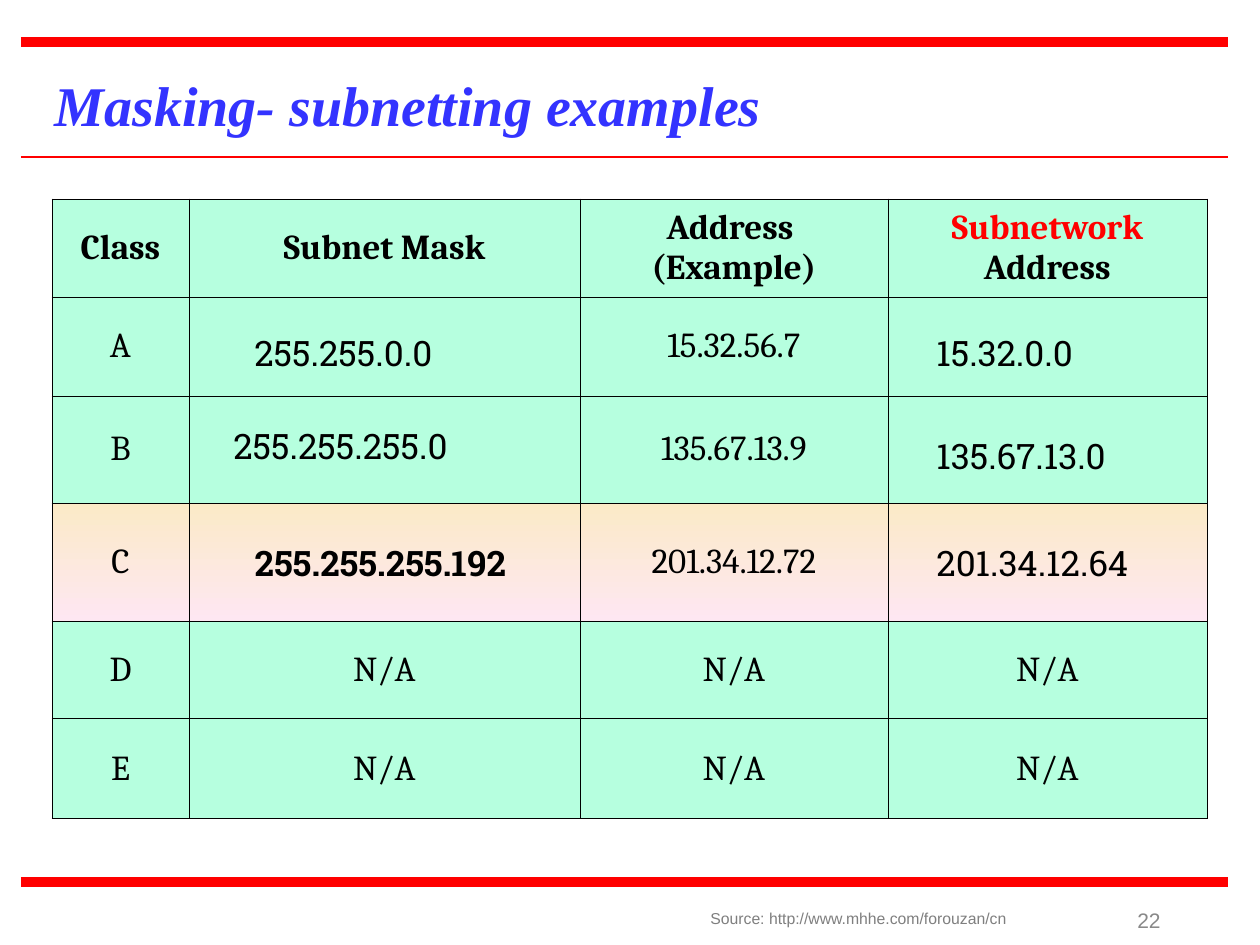
from dataclasses import dataclass

from lxml.etree import SubElement
from pptx import Presentation
from pptx.dml.color import RGBColor
from pptx.enum.shapes import MSO_CONNECTOR
from pptx.enum.text import MSO_ANCHOR as Anchor, MSO_AUTO_SIZE as AutoSize, PP_ALIGN as Align
from pptx.oxml import parse_xml
from pptx.oxml.ns import nsdecls, qn
from pptx.util import Emu, Pt

PX = 914400 / 126  # EMU in one px


@dataclass(frozen=True)
class Theme:
    red: str = "FF0000"
    blue: str = "3333FF"
    black: str = "000000"
    mint: str = "B6FFDF"
    highlight: tuple = ("FBEAC7", "FEE7F2")
    number: str = "898989"
    source: str = "7F7F7F"
    title_font: str = "Times New Roman"
    table_font: str = "Cambria"
    answer_font: str = "Roboto Slab"
    footer_font: str = "Arial"
    title_size: int = 32
    body_size: int = 20
    number_size: int = 12
    source_size: int = 9
    border: float = 0.45


T = Theme()


def px(*values):
    return [Emu(round(v * PX)) for v in values]


def add_run(p, text, font, size, color, bold=False, italic=False):
    r = p.add_run()
    r.text = text
    f = r.font
    f.name, f.size, f.bold, f.italic = font, Pt(size), bold, italic
    f.color.rgb = RGBColor.from_string(color)


def add_label(s, box, text, font, size, color, bold=False, align=Align.LEFT, anchor=Anchor.TOP):
    tf = s.shapes.add_textbox(*px(*box)).text_frame
    tf.word_wrap, tf.vertical_anchor = True, anchor
    p = tf.paragraphs[0]
    p.alignment = align
    add_run(p, text, font, size, color, bold)


def add_rule(s, y, weight):
    left, right = 21, 1228
    line = s.shapes.add_connector(MSO_CONNECTOR.STRAIGHT, *px(left, y, right, y))
    line.line.color.rgb = RGBColor.from_string(T.red)
    line.line.width = Pt(weight)
    SubElement(line._element.spPr, qn("a:effectLst"))


def add_title(s, box, text):
    sp = s.shapes.title
    sp.left, sp.top, sp.width, sp.height = px(*box)
    tf = sp.text_frame
    tf.word_wrap, tf.auto_size = False, AutoSize.NONE
    tf.vertical_anchor = Anchor.TOP
    p = tf.paragraphs[0]
    p.alignment = Align.LEFT
    add_run(p, text, T.title_font, T.title_size, T.blue, bold=True, italic=True)


def style_cell(cell, highlighted):
    # Fill
    if highlighted:
        cell.fill.gradient()
        cell.fill.gradient_angle = 270
        for stop, color in zip(cell.fill.gradient_stops, T.highlight):
            stop.color.rgb = RGBColor.from_string(color)
    else:
        cell.fill.solid()
        cell.fill.fore_color.rgb = RGBColor.from_string(T.mint)
    # Borders come before the fill
    for i, side in enumerate(("lnL", "lnR", "lnT", "lnB")):
        cell._tc.tcPr.insert(i, parse_xml(
            f'<a:{side} {nsdecls("a")} w="{Pt(T.border)}"><a:solidFill>'
            f'<a:srgbClr val="{T.black}"/></a:solidFill></a:{side}>'))


def add_class_table(s, left, top):
    cols = (137, 391, 308, 319)
    heights = (98, 99, 107, 118, 98, 100)
    header = ("Class", "Subnet Mask", "Address \n(Example)", "Subnetwork Address")
    rows = [header,
            ("A", "", "15.32.56.7", ""),
            ("B", "", "135.67.13.9", ""),
            ("C", "", "201.34.12.72", "")]
    rows += [(name, "N/A", "N/A", "N/A") for name in "DE"]

    box = px(left, top, sum(cols), sum(heights))
    table = s.shapes.add_table(len(rows), len(cols), *box).table
    for col, width in zip(table.columns, px(*cols)):
        col.width = width
    for row, height, values in zip(table.rows, px(*heights), rows):
        row.height = height
        for cell, value in zip(row.cells, values):
            style_cell(cell, highlighted=values[0] == "C")
            cell.vertical_anchor = Anchor.MIDDLE
            tf = cell.text_frame
            for i, text in enumerate(value.split("\n") if value else ()):
                p = tf.add_paragraph() if i else tf.paragraphs[0]
                p.alignment = Align.CENTER
                bold = values is header
                if text.startswith("Subnetwork "):
                    add_run(p, "Subnetwork ", T.table_font, T.body_size, T.red, bold)
                    text = text.removeprefix("Subnetwork ")
                add_run(p, text, T.table_font, T.body_size, T.black, bold)


def add_answers(s, left, top):
    """Masks and subnetwork addresses laid over the open cells."""
    h, address_x, address_w = 54, 872, 273
    answers = [  # x, y, width, text, bold, alignment
        (190, 126, 273, "255.255.0.0", False, Align.LEFT),
        (169, 219, 315, "255.255.255.0", False, Align.LEFT),
        (150, 336, 357, "255.255.255.192", True, Align.CENTER),
        (address_x, 126, address_w, "15.32.0.0", False, Align.LEFT),
        (address_x, 229, address_w, "135.67.13.0", False, Align.LEFT),
        (address_x, 336, address_w, "201.34.12.64", False, Align.LEFT),
    ]
    for x, y, w, text, bold, align in answers:
        add_label(s, (left + x, top + y, w, h), text, T.answer_font, T.body_size,
                  T.black, bold, align)


def add_footer(s, left, top):
    add_label(s, (left, top + 8, 330, 32), "Source: http://www.mhhe.com/forouzan/cn",
              T.footer_font, T.source_size, T.source)
    add_label(s, (left + 415, top, 60, 50), "22", T.footer_font, T.number_size,
              T.number, align=Align.RIGHT, anchor=Anchor.MIDDLE)


def main():
    prs = Presentation()
    prs.slide_width, prs.slide_height = px(1260, 945)
    s = prs.slides.add_slide(prs.slide_layouts[5])

    # Frame and title
    for y, weight in ((42, 6), (157, 1.5), (882, 6)):
        add_rule(s, y, weight)
    add_title(s, (42, 64, 738, 79), "Masking- subnetting examples")

    # Table with its answers
    left, top = 52, 199
    add_class_table(s, left, top)
    add_answers(s, left, top)

    add_footer(s, 698, 895)
    prs.save("out.pptx")


if __name__ == "__main__":
    main()
